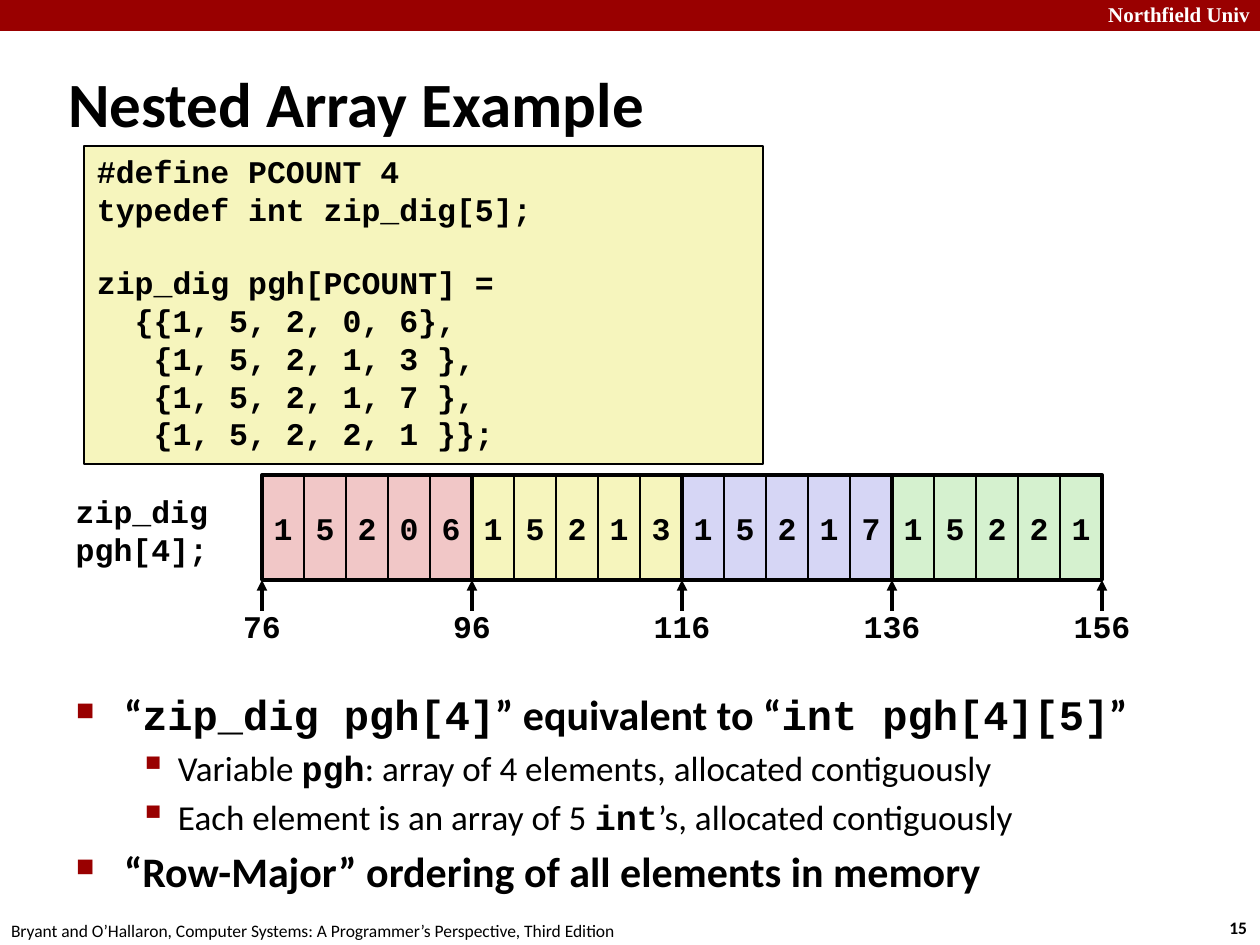
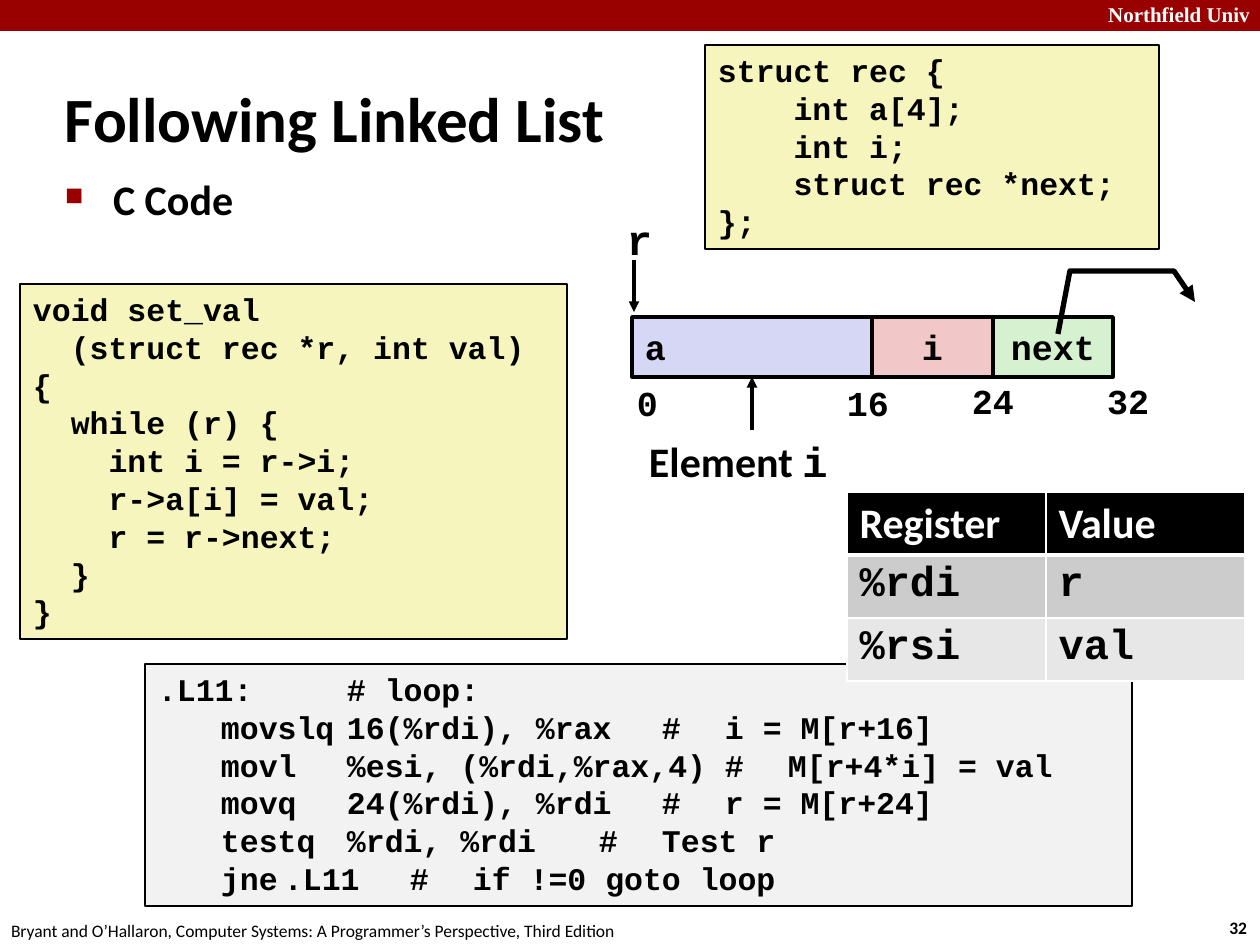
from lxml.etree import SubElement
from pptx import Presentation
from pptx.dml.color import RGBColor
from pptx.enum.shapes import MSO_CONNECTOR, MSO_SHAPE
from pptx.enum.text import MSO_ANCHOR, PP_ALIGN
from pptx.oxml.ns import qn
from pptx.util import Emu, Pt

EMU_PER_PX = 914400 / 126
SLIDE_WIDTH, SLIDE_HEIGHT = 1260, 945

BLACK = RGBColor(0x00, 0x00, 0x00)
WHITE = RGBColor(0xFF, 0xFF, 0xFF)
RED = RGBColor(0x99, 0x00, 0x00)
YELLOW = RGBColor(0xF6, 0xF5, 0xBD)
PINK = RGBColor(0xF1, 0xC7, 0xC7)
LILAC = RGBColor(0xD6, 0xD6, 0xF5)
GREEN = RGBColor(0xD5, 0xF1, 0xCF)
PALE_GREY = RGBColor(0xF2, 0xF2, 0xF2)
ROW_GREYS = (RGBColor(0xCC, 0xCC, 0xCC), RGBColor(0xE7, 0xE7, 0xE7))


def font_format(name, size, bold=True):
    return {"name": name, "size": Pt(size), "bold": bold}


TITLE = font_format("Calibri", 36)
HEADING = font_format("Calibri", 24)
DETAIL = font_format("Calibri", 20, False)
FOOTER = font_format("Calibri", 10, False)
PAGE_NUMBER = font_format("Calibri", 10)
BRAND = font_format("Times New Roman", 12)
CODE_24 = font_format("Courier New", 24)
CODE_20 = font_format("Courier New", 20)
CODE_18 = font_format("Courier New", 18)

CODE_CHARACTER = Pt(10.8)  # advance of one 18 pt Courier New character
CODE_LINE = Pt(20.4)

# Level: bullet, size in percent, left margin in px, hanging indent in px, space before
BULLETS = (("■", 60, 48, 48, Pt(4.8)), ("▪", 110, 102, 39, Pt(4)))


def px(length):
    return Emu(round(length * EMU_PER_PX))


def box_px(*lengths):
    return [px(length) for length in lengths]


def add_run(paragraph, text, font_values, color=BLACK):
    run = paragraph.add_run()
    run.text = text
    for key, value in font_values.items():
        setattr(run.font, key, value)
    run.font.color.rgb = color


def set_frame(frame, anchor=MSO_ANCHOR.TOP, side_margin=13):
    values = {"word_wrap": True, "vertical_anchor": anchor,
              "margin_left": px(side_margin), "margin_right": px(side_margin),
              "margin_top": px(6), "margin_bottom": px(6)}
    for key, value in values.items():
        setattr(frame, key, value)


def next_paragraph(frame, index, align=PP_ALIGN.LEFT):
    paragraph = frame.add_paragraph() if index else frame.paragraphs[0]
    paragraph.alignment = align
    return paragraph


def add_text(slide, box, lines, font_values, align=PP_ALIGN.LEFT, color=BLACK,
             anchor=MSO_ANCHOR.TOP):
    """Add a text box; each line is a list of strings or (text, font) pairs."""
    frame = slide.shapes.add_textbox(*box_px(*box)).text_frame
    set_frame(frame, anchor)
    for index, line in enumerate(lines):
        paragraph = next_paragraph(frame, index, align)
        for part in line:
            text, values = (part, font_values) if isinstance(part, str) else part
            add_run(paragraph, text, values, color)


def add_rectangle(slide, box, fill=None, line_width=None):
    shape = slide.shapes.add_shape(MSO_SHAPE.RECTANGLE, *box_px(*box))
    shape.shadow.inherit = False
    if fill is None:
        shape.fill.background()
    else:
        shape.fill.solid()
        shape.fill.fore_color.rgb = fill
    if line_width is None:
        shape.line.fill.background()
    else:
        set_line(shape, line_width)
    return shape


def set_line(shape, width, arrow=False):
    shape.line.color.rgb = BLACK
    shape.line.width = Pt(width)
    if arrow:
        outline = shape._element.spPr.find(qn("a:ln"))
        SubElement(outline, qn("a:tailEnd"), type="triangle")


def add_cell(slide, box, text, font_values, fill, line_width,
             align=PP_ALIGN.CENTER, side_margin=0):
    shape = add_rectangle(slide, box, fill, line_width)
    set_frame(shape.text_frame, MSO_ANCHOR.MIDDLE, side_margin)
    add_run(next_paragraph(shape.text_frame, 0, align), text, font_values)


def add_code(slide, box, lines, fill=YELLOW, tab_columns=()):
    """Add a listing; leading spaces become indents, an empty line a gap."""
    frame = add_rectangle(slide, box, fill, 1).text_frame
    set_frame(frame)
    gap = 0
    for index, line in enumerate(lines):
        if not line:
            gap = CODE_LINE
            continue
        code = line.lstrip(" ")
        paragraph = next_paragraph(frame, index)
        paragraph.space_before, gap = gap, 0
        properties = paragraph._p.get_or_add_pPr()
        properties.set("marL", str((len(line) - len(code)) * CODE_CHARACTER))
        properties.set("indent", "0")
        if tab_columns:
            tabs = SubElement(properties, qn("a:tabLst"))
            for column in tab_columns:
                SubElement(tabs, qn("a:tab"), pos=str(column * CODE_CHARACTER), algn="l")
        add_run(paragraph, code, CODE_18)


def add_bullets(slide, box, items):
    """Add bullets; each item is a level and its (text, font) pairs."""
    frame = slide.shapes.add_textbox(*box_px(*box)).text_frame
    set_frame(frame)
    for index, (level, parts) in enumerate(items):
        character, percent, margin, hanging, space = BULLETS[level]
        paragraph = next_paragraph(frame, index)
        paragraph.space_before = space if index else 0
        properties = paragraph._p.get_or_add_pPr()
        properties.set("marL", str(px(margin)))
        properties.set("indent", str(-px(hanging)))
        color = SubElement(properties, qn("a:buClr"))
        SubElement(color, qn("a:srgbClr"), val=str(RED))
        SubElement(properties, qn("a:buSzPct"), val=str(percent * 1000))
        SubElement(properties, qn("a:buChar"), char=character)
        for text, values in parts:
            add_run(paragraph, text, values)


def add_arrow(slide, x, start_y, end_y):
    arrow = slide.shapes.add_connector(
        MSO_CONNECTOR.STRAIGHT, *box_px(x, start_y, x, end_y))
    set_line(arrow, 2, arrow=True)
    SubElement(arrow._element.spPr, qn("a:effectLst"))


def add_pointer(slide, points):
    """Draw an open bent line that ends in an arrowhead."""
    builder = slide.shapes.build_freeform(*points[0], scale=EMU_PER_PX)
    builder.add_line_segments(points[1:], close=False)
    shape = builder.convert_to_shape()
    shape.shadow.inherit = False
    shape.fill.background()
    set_line(shape, 3, arrow=True)


def set_cell_borders(cell, bottom_width):
    widths = {"a:lnL": 1, "a:lnR": 1, "a:lnT": 1, "a:lnB": bottom_width}
    properties = cell._tc.get_or_add_tcPr()
    for position, (tag, width) in enumerate(widths.items()):
        border = SubElement(properties, qn(tag), w=str(Pt(width)))
        fill = SubElement(border, qn("a:solidFill"))
        SubElement(fill, qn("a:srgbClr"), val=str(WHITE))
        properties.insert(position, border)


def add_register_table(slide, box, rows):
    table = slide.shapes.add_table(len(rows), len(rows[0]), *box_px(*box)).table
    for row_index, row in enumerate(rows):
        header = row_index == 0
        for column_index, text in enumerate(row):
            cell = table.cell(row_index, column_index)
            cell.fill.solid()
            cell.fill.fore_color.rgb = BLACK if header else ROW_GREYS[row_index - 1]
            set_cell_borders(cell, 3 if header else 1)
            add_run(cell.text_frame.paragraphs[0], text,
                    HEADING if header else CODE_24, WHITE if header else BLACK)


def add_course_slide(presentation, title, title_box, number):
    """Add a slide with the band, footer, page number and title."""
    slide = presentation.slides.add_slide(presentation.slide_layouts[6])
    add_rectangle(slide, (0, 0, SLIDE_WIDTH, 31), RED)
    add_text(slide, (1060, -4, 203, 38), [["Northfield Univ"]], BRAND, PP_ALIGN.RIGHT, WHITE)
    add_text(slide, (1180, 911, 80, 34), [[str(number)]], PAGE_NUMBER, PP_ALIGN.RIGHT)
    add_text(slide, (-2, 914, 700, 31),
             [["Bryant and O’Hallaron, Computer Systems: A Programmer’s Perspective, Third Edition"]],
             FOOTER)
    add_text(slide, title_box, [[title]], TITLE, anchor=MSO_ANCHOR.MIDDLE)
    return slide


def add_memory_rows(slide, left, top, rows, first_address):
    """Draw the arrays side by side with the address of each boundary."""
    cell_width, height, int_size = 42, 105, 4
    row_width = cell_width * len(rows[0][0])
    for row_index, (digits, fill) in enumerate(rows):
        row_left = left + row_index * row_width
        for index, digit in enumerate(digits):
            add_cell(slide, (row_left + index * cell_width, top, cell_width, height),
                     digit, CODE_18, fill, 1)
    for row_index in range(len(rows)):
        add_rectangle(slide, (left + row_index * row_width, top, row_width, height),
                      line_width=2.25)
    for boundary in range(len(rows) + 1):
        x = left + boundary * row_width
        address = first_address + boundary * int_size * len(rows[0][0])
        add_arrow(slide, x, top + height + 31, top + height)
        add_text(slide, (x - 50, 601, 100, 50), [[str(address)]], CODE_18, PP_ALIGN.CENTER)


def build_nested_array(presentation):
    slide = add_course_slide(presentation, "Nested Array Example", (55, 63, 878, 79), 15)
    add_bullets(slide, (63, 683, 1102, 235), [
        (0, [("“", HEADING), ("zip_dig pgh[4]", CODE_24), ("” equivalent to “", HEADING),
             ("int pgh[4][5]", CODE_24), ("”", HEADING)]),
        (1, [("Variable ", DETAIL), ("pgh", CODE_20),
             (": array of 4 elements, allocated contiguously", DETAIL)]),
        (1, [("Each element is an array of 5 ", DETAIL), ("int", CODE_20),
             ("’s, allocated contiguously", DETAIL)]),
        (0, [("“Row-Major” ordering of all elements in memory", HEADING)]),
    ])
    add_code(slide, (84, 146, 679, 318), [
        "#define PCOUNT 4",
        "typedef int zip_dig[5];",
        "",
        "zip_dig pgh[PCOUNT] =",
        "  {{1, 5, 2, 0, 6},",
        "   {1, 5, 2, 1, 3 },",
        "   {1, 5, 2, 1, 7 },",
        "   {1, 5, 2, 2, 1 }};",
    ])
    add_text(slide, (40, 486, 181, 88), [["zip_dig"], ["pgh[4];"]], CODE_18, PP_ALIGN.RIGHT)
    add_memory_rows(slide, 262, 475, [
        ("15206", PINK), ("15213", YELLOW), ("15217", LILAC), ("15221", GREEN)], 76)


def add_struct_layout(slide):
    top, height = 317, 60
    add_arrow(slide, 752, 430, top + height)
    add_text(slide, (636, 430, 230, 53), [["Element ", ("i", CODE_24)]], HEADING)
    add_arrow(slide, 634, 260, 312)
    add_text(slide, (614, 208, 60, 63), [["r"]], CODE_24)
    for left, width, name, fill, align in (
            (872, 121, "i", PINK, PP_ALIGN.CENTER),
            (993, 120, "next", GREEN, PP_ALIGN.CENTER),
            (632, 240, "a", LILAC, PP_ALIGN.LEFT)):
        add_cell(slide, (left, top, width, height), name, CODE_20, fill, 2, align, 13)
    for left, label_top, offset in ((624, 375, 0), (834, 375, 16),
                                    (959, 373, 24), (1094, 373, 32)):
        add_text(slide, (left, label_top, 80, 54), [[str(offset)]], CODE_20)
    add_pointer(slide, [(1058, 334), (1070, 271), (1174, 271), (1195, 302)])


def build_linked_list(presentation):
    slide = add_course_slide(presentation, "Following Linked List", (52, 78, 995, 79), 32)
    add_code(slide, (145, 664, 987, 242), [
        ".L11:\t\t# loop:",
        "\tmovslq\t16(%rdi), %rax\t#\ti = M[r+16]",
        "\tmovl\t%esi, (%rdi,%rax,4)\t#\tM[r+4*i] = val",
        "\tmovq\t24(%rdi), %rdi\t#\tr = M[r+24]",
        "\ttestq\t%rdi, %rdi\t#\tTest r",
        "\tjne\t.L11\t#\tif !=0 goto loop",
    ], PALE_GREY, tab_columns=(2, 10, 30, 34))
    add_code(slide, (20, 284, 547, 355), [
        "void set_val",
        "  (struct rec *r, int val)",
        "{",
        "  while (r) {",
        "    int i = r->i;",
        "    r->a[i] = val;",
        "    r = r->next;",
        "  }",
        "}",
    ])
    add_bullets(slide, (52, 168, 420, 98), [(0, [("C Code", HEADING)])])
    add_register_table(slide, (847, 492, 398, 153), [
        ("Register", "Value"), ("%rdi", "r"), ("%rsi", "val")])
    add_code(slide, (705, 45, 454, 204), [
        "struct rec {",
        "    int a[4];",
        "    int i;",
        "    struct rec *next;",
        "};",
    ])
    add_struct_layout(slide)


def main():
    presentation = Presentation()
    presentation.slide_width = px(SLIDE_WIDTH)
    presentation.slide_height = px(SLIDE_HEIGHT)
    build_nested_array(presentation)
    build_linked_list(presentation)
    presentation.save("out.pptx")


if __name__ == "__main__":
    main()
